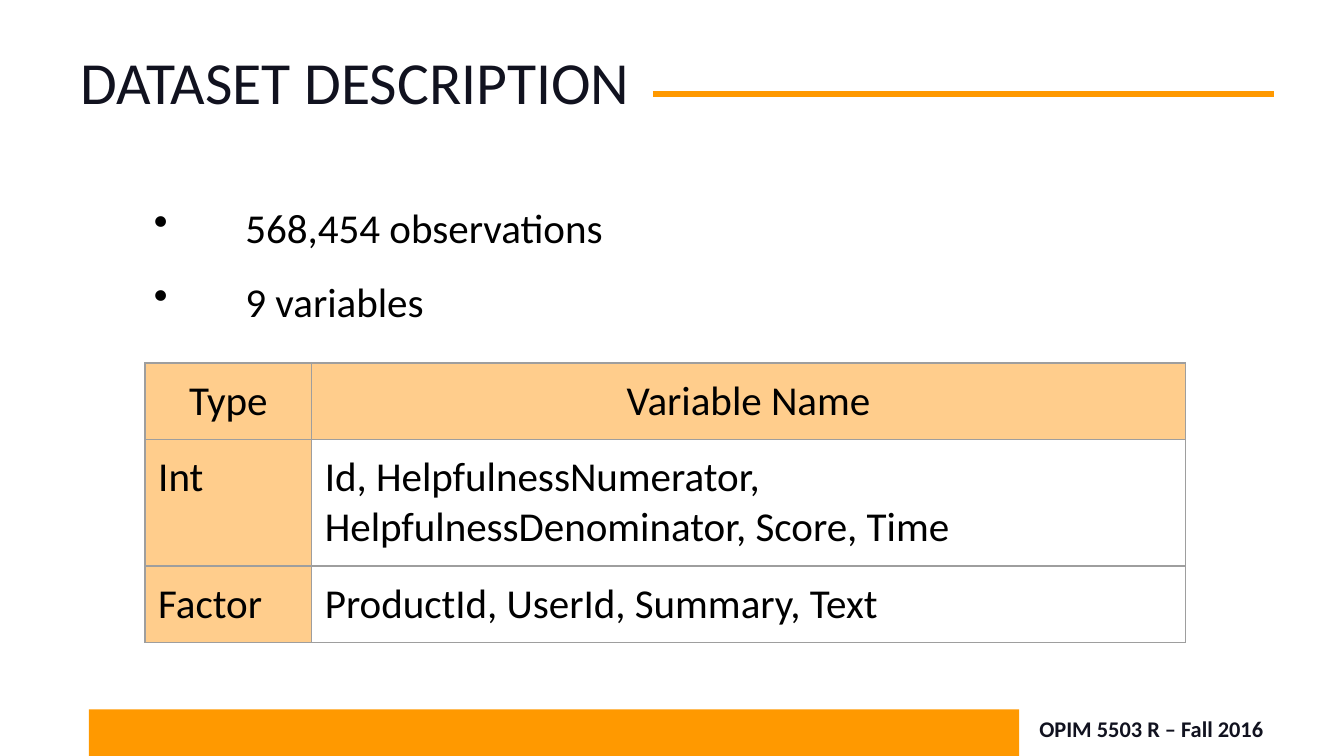
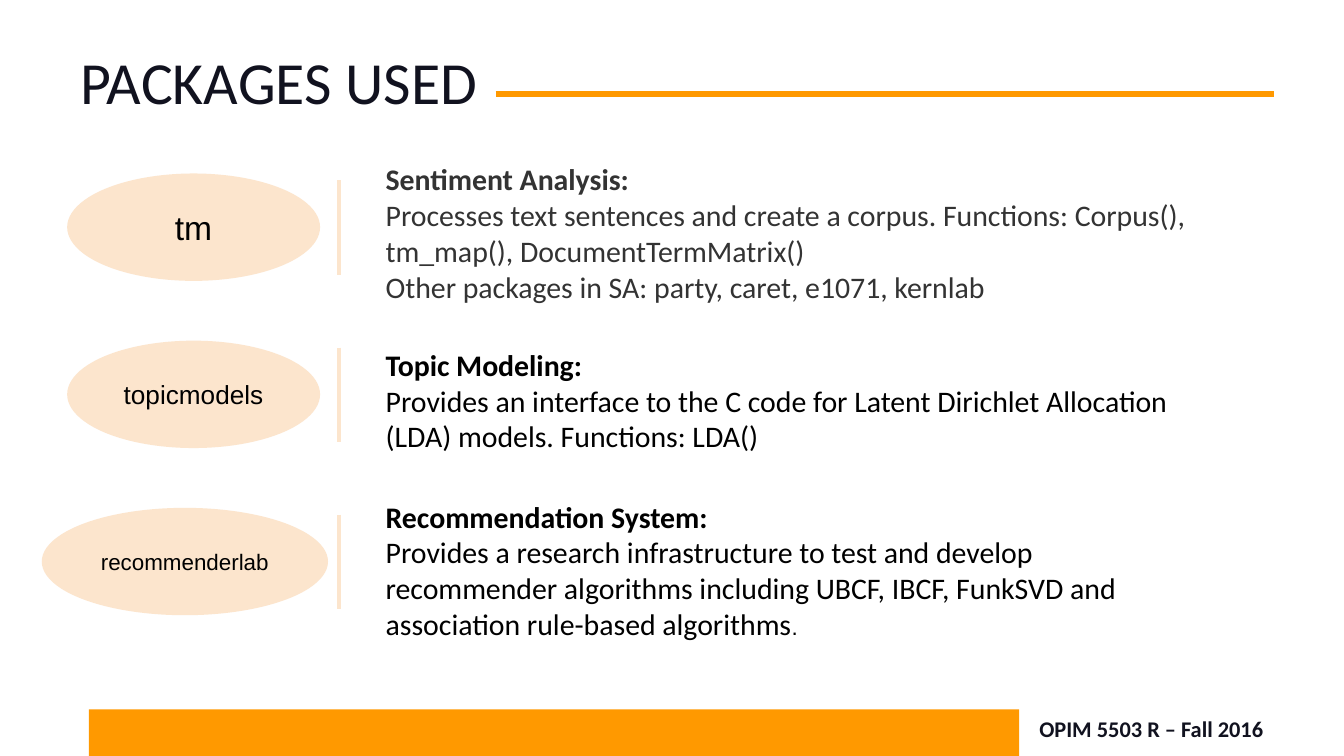
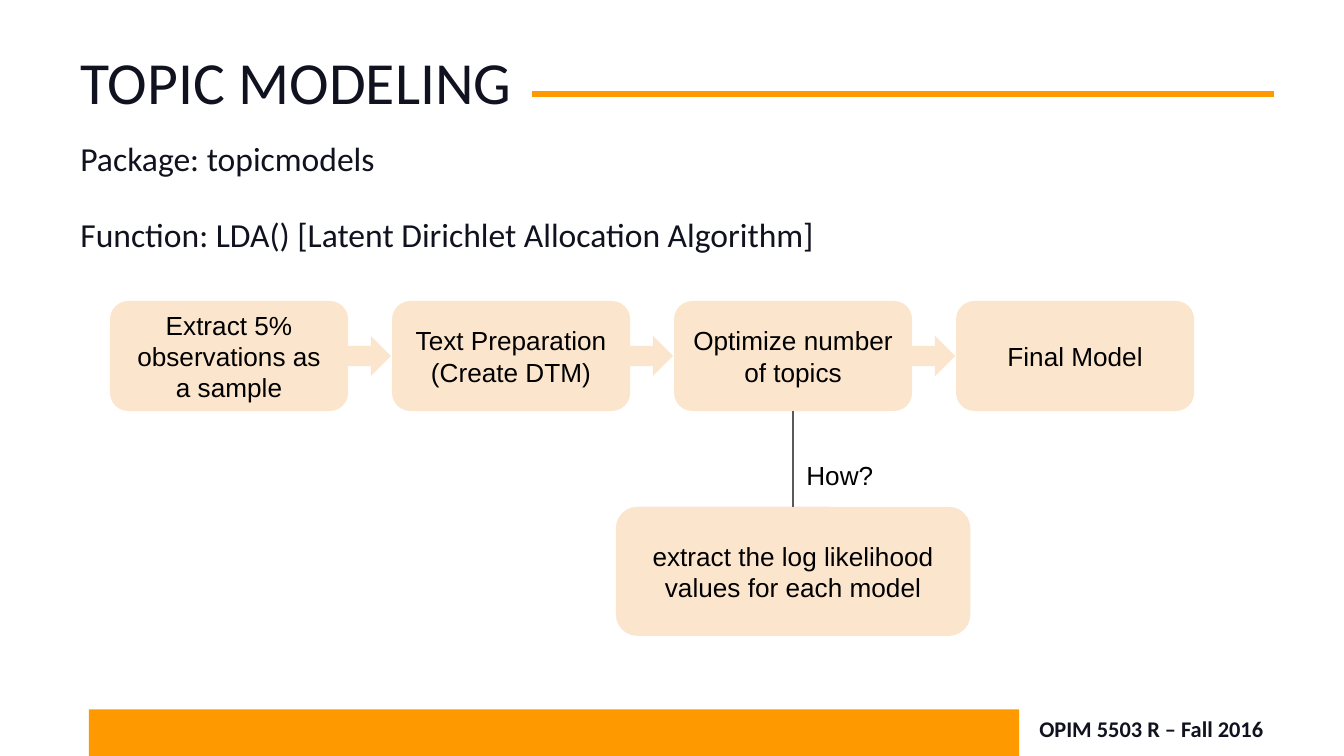
from dataclasses import dataclass, replace

from lxml.etree import Element, SubElement
from pptx import Presentation
from pptx.dml.color import RGBColor
from pptx.enum.shapes import MSO_CONNECTOR, MSO_SHAPE
from pptx.enum.text import MSO_ANCHOR, MSO_AUTO_SIZE, PP_ALIGN
from pptx.oxml.ns import qn
from pptx.shapes.autoshape import Shape
from pptx.shapes.connector import Connector
from pptx.slide import Slide
from pptx.text.text import TextFrame
from pptx.util import Cm, Length, Pt


# Theme: colours, fonts and type sizes
@dataclass(frozen=True)
class Theme:
    ink: RGBColor = RGBColor(0x11, 0x12, 0x1F)
    black: RGBColor = RGBColor(0, 0, 0)
    grey: RGBColor = RGBColor(0x33, 0x33, 0x33)
    orange: RGBColor = RGBColor(0xFF, 0x99, 0x00)
    peach: RGBColor = RGBColor(0xFC, 0xE5, 0xCD)
    table_fill: RGBColor = RGBColor(0xFF, 0xCD, 0x8C)
    table_border: RGBColor = RGBColor(0x9E, 0x9E, 0x9E)
    link_line: RGBColor = RGBColor(0x59, 0x59, 0x59)
    text_font: str = "Calibri"
    diagram_font: str = "Arial"
    title_size: Length = Pt(32)
    list_size: Length = Pt(22)
    lead_size: Length = Pt(18)
    detail_size: Length = Pt(16)
    diagram_size: Length = Pt(14)
    small_size: Length = Pt(12)


THEME = Theme()


@dataclass(frozen=True)
class TextStyle:
    size: Length
    font: str = THEME.text_font
    color: RGBColor = THEME.black
    bold: bool = False
    alignment: PP_ALIGN = PP_ALIGN.LEFT


@dataclass(frozen=True)
class Box:
    left: Length
    top: Length
    width: Length
    height: Length


@dataclass(frozen=True)
class Package:
    name: str
    name_size: Length
    ellipse_left: Length
    ellipse_width: Length
    text_top: Length
    text: str
    color: RGBColor = THEME.black


TITLE = TextStyle(THEME.title_size, color=THEME.ink)
FOOTER = TextStyle(THEME.small_size, color=THEME.ink, bold=True, alignment=PP_ALIGN.RIGHT)
LIST = TextStyle(THEME.list_size, alignment=PP_ALIGN.JUSTIFY)
CELL = TextStyle(THEME.list_size)
LEAD = TextStyle(THEME.lead_size, color=THEME.ink)
DETAIL = TextStyle(THEME.detail_size)
DIAGRAM = TextStyle(THEME.diagram_size, THEME.diagram_font, alignment=PP_ALIGN.CENTER)

TITLE_BOX = Box(Cm(1.27), Cm(0.69), Cm(22.86), Cm(1.65))
BAND_BOX = Box(Cm(1.68), Cm(13.41), Cm(17.58), Cm(0.88))
FOOTER_BOX = Box(Cm(18.31), Cm(13.39), Cm(5.82), Cm(0.76))
RULE_TOP, RULE_RIGHT = Cm(1.78), Cm(24.08)
INSET, NARROW_INSET = Cm(0.25), Cm(0.13)

VARIABLES = [
    ("Type", "Variable Name"),
    ("Int", "Id, HelpfulnessNumerator, HelpfulnessDenominator, Score, Time"),
    ("Factor", "ProductId, UserId, Summary, Text"),
]

PACKAGES = [
    Package("tm", THEME.lead_size, Cm(1.27), Cm(4.78), Cm(2.79),
            "Sentiment Analysis:\nProcesses text sentences and create a corpus. "
            "Functions: Corpus(), tm_map(), DocumentTermMatrix()\n"
            "Other packages in SA: party, caret, e1071, kernlab", THEME.grey),
    Package("topicmodels", THEME.diagram_size, Cm(1.27), Cm(4.78), Cm(6.3),
            "Topic Modeling:\nProvides an interface to the C code for "
            "Latent Dirichlet Allocation (LDA) models. Functions: LDA()"),
    Package("recommenderlab", THEME.small_size, Cm(0.79), Cm(5.41), Cm(9.17),
            "Recommendation System:\nProvides a research infrastructure to test and "
            "develop recommender algorithms including UBCF, IBCF, FunkSVD and "
            "association rule-based algorithms"),
]

STEPS = [
    "Extract 5% observations as a sample",
    "Text Preparation (Create DTM)",
    "Optimize number of topics",
    "Final Model",
]


# Shared drawing functions
def write(text_frame: TextFrame, text: str, style: TextStyle) -> None:
    text_frame.text = text
    for paragraph in text_frame.paragraphs:
        paragraph.alignment = style.alignment
        for run in paragraph.runs:
            run.font.size = style.size
            run.font.name = style.font
            run.font.bold = style.bold
            run.font.color.rgb = style.color


def set_frame(text_frame: TextFrame, anchor: MSO_ANCHOR, vertical_inset: Length) -> None:
    text_frame.word_wrap = True
    text_frame.auto_size = MSO_AUTO_SIZE.NONE
    text_frame.vertical_anchor = anchor
    text_frame.margin_left = text_frame.margin_right = INSET
    text_frame.margin_top = text_frame.margin_bottom = vertical_inset


def add_text(slide: Slide, box: Box, text: str, style: TextStyle,
             anchor: MSO_ANCHOR = MSO_ANCHOR.TOP, vertical_inset: Length = INSET) -> TextFrame:
    shape = slide.shapes.add_textbox(box.left, box.top, box.width, box.height)
    set_frame(shape.text_frame, anchor, vertical_inset)
    write(shape.text_frame, text, style)
    return shape.text_frame


def add_filled(slide: Slide, kind: MSO_SHAPE, box: Box, color: RGBColor,
               text: str = "", style: TextStyle = DIAGRAM) -> Shape:
    shape = slide.shapes.add_shape(kind, box.left, box.top, box.width, box.height)
    shape.shadow.inherit = False
    shape.fill.solid()
    shape.fill.fore_color.rgb = color
    shape.line.fill.background()
    if text:
        set_frame(shape.text_frame, MSO_ANCHOR.MIDDLE, INSET)
        write(shape.text_frame, text, style)
    return shape


def add_line(slide: Slide, start: tuple[Length, Length], end: tuple[Length, Length],
             color: RGBColor, width: Length) -> Connector:
    connector = slide.shapes.add_connector(MSO_CONNECTOR.STRAIGHT, *start, *end)
    connector.line.color.rgb = color
    connector.line.width = width
    SubElement(connector._element.spPr, qn("a:effectLst"))
    return connector


def add_titled_slide(presentation: Presentation, title: str, rule_left: Length) -> Slide:
    slide = presentation.slides.add_slide(presentation.slide_layouts[5])
    shape = slide.shapes.title
    shape.left, shape.top = TITLE_BOX.left, TITLE_BOX.top
    shape.width, shape.height = TITLE_BOX.width, TITLE_BOX.height
    set_frame(shape.text_frame, MSO_ANCHOR.BOTTOM, NARROW_INSET)
    write(shape.text_frame, title, TITLE)
    add_filled(slide, MSO_SHAPE.RECTANGLE, BAND_BOX, THEME.orange)
    add_line(slide, (rule_left, RULE_TOP), (RULE_RIGHT, RULE_TOP), THEME.orange, Pt(3))
    add_text(slide, FOOTER_BOX, "OPIM 5503 R – Fall 2016", FOOTER,
             MSO_ANCHOR.MIDDLE, NARROW_INSET)
    return slide


def add_bullets(text_frame: TextFrame) -> None:
    for paragraph in text_frame.paragraphs:
        properties = paragraph._p.get_or_add_pPr()
        properties.set("marL", str(Cm(1.98)))
        properties.set("indent", str(-Cm(1.73)))
        SubElement(properties, qn("a:buChar"), char="•")


def set_borders(cell, color: RGBColor, width: Length) -> None:
    properties = cell._tc.get_or_add_tcPr()
    for position, side in enumerate(("lnL", "lnR", "lnT", "lnB")):
        line = Element(qn(f"a:{side}"), w=str(width))
        fill = SubElement(line, qn("a:solidFill"))
        SubElement(fill, qn("a:srgbClr"), val=str(color))
        properties.insert(position, line)


# Slide 1: bullets and variable table
def build_dataset(presentation: Presentation) -> None:
    slide = add_titled_slide(presentation, "DATASET DESCRIPTION", Cm(12.34))
    text_frame = add_text(slide, Box(Cm(2.41), Cm(3.23), Cm(9.3), Cm(3.78)),
                          "568,454 observations\n9 variables", LIST,
                          vertical_inset=NARROW_INSET)
    for paragraph in text_frame.paragraphs:
        paragraph.line_spacing = 1.5
    add_bullets(text_frame)

    table = slide.shapes.add_table(len(VARIABLES), 2, Cm(2.74), Cm(6.86),
                                   Cm(19.66), Cm(5.26)).table
    table.first_row = table.horz_banding = False
    for column, width in zip(table.columns, (Cm(3.15), Cm(16.51))):
        column.width = width
    for row, height in zip(table.rows, (Cm(1.45), Cm(2.36), Cm(1.45))):
        row.height = height
    for row_index, values in enumerate(VARIABLES):
        for column_index, value in enumerate(values):
            cell = table.cell(row_index, column_index)
            cell.margin_left = cell.margin_right = INSET
            cell.margin_top = cell.margin_bottom = INSET
            alignment = PP_ALIGN.CENTER if row_index == 0 else PP_ALIGN.LEFT
            write(cell.text_frame, value, replace(CELL, alignment=alignment))
            if row_index == 0 or column_index == 0:
                cell.fill.solid()
                cell.fill.fore_color.rgb = THEME.table_fill
            else:
                cell.fill.background()
            set_borders(cell, THEME.table_border, Pt(0.75))


# Slide 2: one row per package
def build_packages(presentation: Presentation) -> None:
    slide = add_titled_slide(presentation, "PACKAGES USED", Cm(9.37))
    first_top, pitch, divider_left = Cm(3.28), Cm(3.16), Cm(6.4)
    for index, package in enumerate(PACKAGES):
        top = first_top + index * pitch
        add_filled(slide, MSO_SHAPE.OVAL,
                   Box(package.ellipse_left, top, package.ellipse_width, Cm(2.03)),
                   THEME.peach, package.name, replace(DIAGRAM, size=package.name_size))
        add_line(slide, (divider_left, top + Cm(0.13)), (divider_left, top + Cm(1.91)),
                 THEME.peach, Pt(2.25))
        text_frame = add_text(slide, Box(Cm(7.04), package.text_top, Cm(16.03), Cm(1.8)),
                              package.text, replace(DETAIL, color=package.color))
        text_frame.paragraphs[0].runs[0].font.bold = True

    # The last description closes with a smaller full stop
    full_stop = text_frame.paragraphs[-1].add_run()
    full_stop.text = "."
    full_stop.font.size = THEME.small_size
    full_stop.font.name = THEME.diagram_font
    full_stop.font.color.rgb = THEME.black


# Slide 3: modelling steps
def build_topic_modeling(presentation: Presentation) -> None:
    slide = add_titled_slide(presentation, "TOPIC MODELING", Cm(10.06))
    text_frame = add_text(slide, Box(Cm(1.27), Cm(2.36), Cm(22.86), Cm(10.39)),
                          "Package: topicmodels\n"
                          "Function: LDA() [Latent Dirichlet Allocation Algorithm]",
                          LEAD, vertical_inset=NARROW_INSET)
    for paragraph in text_frame.paragraphs:
        paragraph.line_spacing = 1.15
        paragraph.space_after = Pt(16)

    first_left, pitch, top = Cm(2.08), Cm(5.33), Cm(5.69)
    step_width, step_height = Cm(4.5), Cm(2.08)
    step_shapes = []
    for index, step in enumerate(STEPS):
        left = first_left + index * pitch
        step_shapes.append(add_filled(slide, MSO_SHAPE.ROUNDED_RECTANGLE,
                                      Box(left, top, step_width, step_height),
                                      THEME.peach, step))
        if index < len(STEPS) - 1:
            add_filled(slide, MSO_SHAPE.RIGHT_ARROW,
                       Box(left + step_width, Cm(6.35), Cm(0.81), Cm(0.76)), THEME.peach)

    # How the number of topics is chosen
    optimize = step_shapes[2]
    center = optimize.left + step_width // 2
    method_width, method_top = Cm(6.7), Cm(9.58)
    method = add_filled(slide, MSO_SHAPE.ROUNDED_RECTANGLE,
                        Box(center - method_width // 2, method_top, method_width, Cm(2.44)),
                        THEME.peach, "extract the log likelihood values for each model")
    link = add_line(slide, (center, top + step_height), (center, method_top),
                    THEME.link_line, Pt(0.75))
    link.begin_connect(optimize, 2)
    link.end_connect(method, 0)
    add_text(slide, Box(center, Cm(8.43), Cm(2.57), Cm(0.89)), "How?",
             replace(DIAGRAM, alignment=PP_ALIGN.LEFT))


def main() -> None:
    presentation = Presentation()
    presentation.slide_width, presentation.slide_height = Cm(25.4), Cm(14.29)
    build_dataset(presentation)
    build_packages(presentation)
    build_topic_modeling(presentation)
    presentation.save("out.pptx")


if __name__ == "__main__":
    main()
